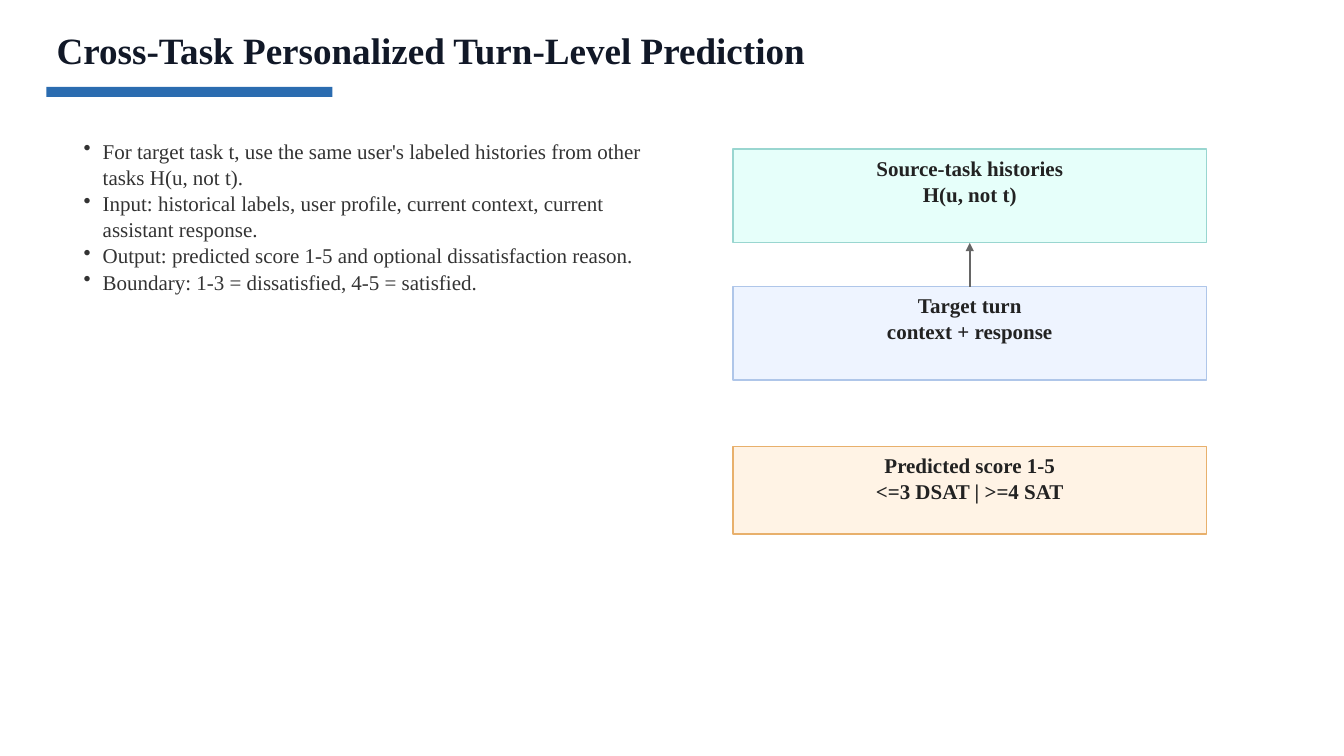
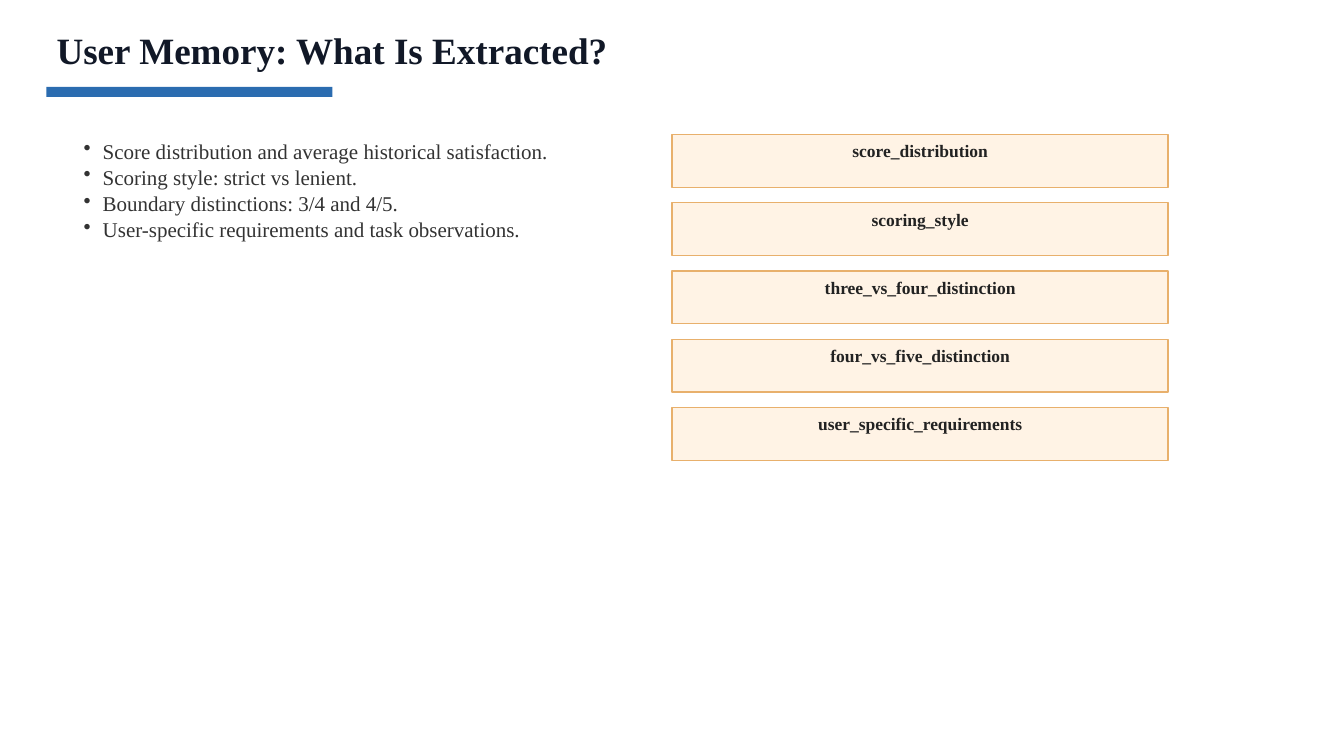
from lxml import etree
from pptx import Presentation
from pptx.dml.color import RGBColor
from pptx.enum.shapes import MSO_CONNECTOR, MSO_SHAPE
from pptx.enum.text import MSO_ANCHOR, MSO_AUTO_SIZE, PP_ALIGN
from pptx.oxml.ns import qn
from pptx.util import Cm, Pt

RECTANGLE = MSO_SHAPE.RECTANGLE
STRAIGHT = MSO_CONNECTOR.STRAIGHT
TOP = MSO_ANCHOR.TOP
NO_AUTOSIZE = MSO_AUTO_SIZE.NONE
LEFT, CENTER = PP_ALIGN.LEFT, PP_ALIGN.CENTER
BOTTOM_SITE, TOP_SITE = 2, 0

# Content
PREDICTION_TITLE = "Cross-Task Personalized Turn-Level Prediction"
PREDICTION_POINTS = [
    "For target task t, use the same user's labeled histories from other tasks H(u, not t).",
    "Input: historical labels, user profile, current context, current assistant response.",
    "Output: predicted score 1-5 and optional dissatisfaction reason.",
    "Boundary: 1-3 = dissatisfied, 4-5 = satisfied.",
]
# Each stage: lines, colour scheme, top and height in cm
PREDICTION_STAGES = [
    (["Source-task histories", "H(u, not t)"], "teal", 3.76, 2.36),
    (["Target turn", "context + response"], "blue", 7.22, 2.36),
    (["Predicted score 1-5", "<=3 DSAT | >=4 SAT"], "orange", 11.25, 2.21),
]
MEMORY_TITLE = "User Memory: What Is Extracted?"
MEMORY_POINTS = [
    "Score distribution and average historical satisfaction.",
    "Scoring style: strict vs lenient.",
    "Boundary distinctions: 3/4 and 4/5.",
    "User-specific requirements and task observations.",
]
MEMORY_FIELDS = [
    "score_distribution",
    "scoring_style",
    "three_vs_four_distinction",
    "four_vs_five_distinction",
    "user_specific_requirements",
]

# Shared style
FONT = "Times New Roman"
LINE_SPACING = 1.04
TITLE_COLOR = RGBColor(0x11, 0x18, 0x27)
ACCENT = RGBColor(0x2B, 0x6C, 0xB0)
BODY_COLOR = RGBColor(0x33, 0x33, 0x33)
BOX_TEXT = RGBColor(0x22, 0x22, 0x22)
ARROW_COLOR = RGBColor(0x66, 0x66, 0x66)
SCHEMES = {  # fill, outline
    "teal": (RGBColor(0xE6, 0xFF, 0xFA), RGBColor(0x99, 0xD6, 0xD0)),
    "blue": (RGBColor(0xEE, 0xF4, 0xFF), RGBColor(0xAF, 0xC6, 0xE9)),
    "orange": (RGBColor(0xFF, 0xF3, 0xE5), RGBColor(0xE8, 0xB0, 0x6C)),
}
MARGIN = Cm(1.17)


def write_text(shape, lines, *, size, color, bold=False, align=LEFT, bullet=False):
    frame = shape.text_frame
    frame.word_wrap = True
    frame.auto_size = NO_AUTOSIZE
    frame.vertical_anchor = TOP
    for index, line in enumerate(lines):
        paragraph = frame.paragraphs[0] if index == 0 else frame.add_paragraph()
        paragraph.alignment = align
        paragraph.line_spacing = LINE_SPACING
        if bullet:
            properties = paragraph._p.get_or_add_pPr()
            properties.set("marL", str(Cm(0.79)))
            properties.set("indent", str(-Cm(0.48)))
            etree.SubElement(properties, qn("a:buChar")).set("char", "•")
        run = paragraph.add_run()
        run.text = line
        run.font.name = FONT
        run.font.size = Pt(size)
        run.font.bold = bold
        run.font.color.rgb = color


def add_rectangle(slide, left, top, width, height, fill, outline=None):
    shape = slide.shapes.add_shape(RECTANGLE, left, top, width, height)
    shape.shadow.inherit = False
    shape.fill.solid()
    shape.fill.fore_color.rgb = fill
    if outline is None:
        shape.line.fill.background()
    else:
        shape.line.color.rgb = outline
        shape.line.width = Pt(1)
    return shape


def add_box(slide, lines, scheme, left, top, width, height, size):
    box = add_rectangle(slide, left, top, width, height, *SCHEMES[scheme])
    write_text(box, lines, size=size, color=BOX_TEXT, bold=True, align=CENTER)
    return box


def add_arrow(slide, tip_box, tail_box):
    """Join two stacked boxes, with the arrowhead on the upper one."""
    arrow = slide.shapes.add_connector(STRAIGHT, 0, 0, 0, 0)
    arrow.begin_connect(tip_box, BOTTOM_SITE)
    arrow.end_connect(tail_box, TOP_SITE)
    arrow.line.color.rgb = ARROW_COLOR
    arrow.line.width = Pt(1.5)
    etree.SubElement(arrow.line._get_or_add_ln(), qn("a:headEnd")).set("type", "triangle")
    etree.SubElement(arrow._element.spPr, qn("a:effectLst"))


def add_content_slide(presentation, title_text, points, points_width, points_height):
    slide = presentation.slides.add_slide(presentation.slide_layouts[5])
    # Title and accent bar
    title = slide.shapes.title
    title.left, title.top, title.width, title.height = MARGIN, Cm(0.51), Cm(31.12), Cm(1.73)
    write_text(title, [title_text], size=26.5, color=TITLE_COLOR, bold=True)
    add_rectangle(slide, MARGIN, Cm(2.19), Cm(7.21), Cm(0.25), ACCENT)
    # Bullet points
    body = slide.shapes.add_textbox(Cm(1.55), Cm(3.33), points_width, points_height)
    write_text(body, points, size=15, color=BODY_COLOR, bullet=True)
    return slide


def main():
    presentation = Presentation()
    presentation.slide_width, presentation.slide_height = Cm(33.87), Cm(19.05)

    # Prediction stages
    slide = add_content_slide(
        presentation, PREDICTION_TITLE, PREDICTION_POINTS, Cm(15), Cm(8.33))
    stages = [
        add_box(slide, lines, scheme, Cm(18.47), Cm(top), Cm(11.94), Cm(height), 15)
        for lines, scheme, top, height in PREDICTION_STAGES
    ]
    add_arrow(slide, stages[0], stages[1])

    # Memory fields
    slide = add_content_slide(
        presentation, MEMORY_TITLE, MEMORY_POINTS, Cm(13.06), Cm(8.05))
    for index, field in enumerate(MEMORY_FIELDS):
        top = Cm(3.39) + index * Cm(1.72)
        add_box(slide, [field], "orange", Cm(16.94), top, Cm(12.5), Cm(1.33), 12.5)

    presentation.save("out.pptx")


if __name__ == "__main__":
    main()
